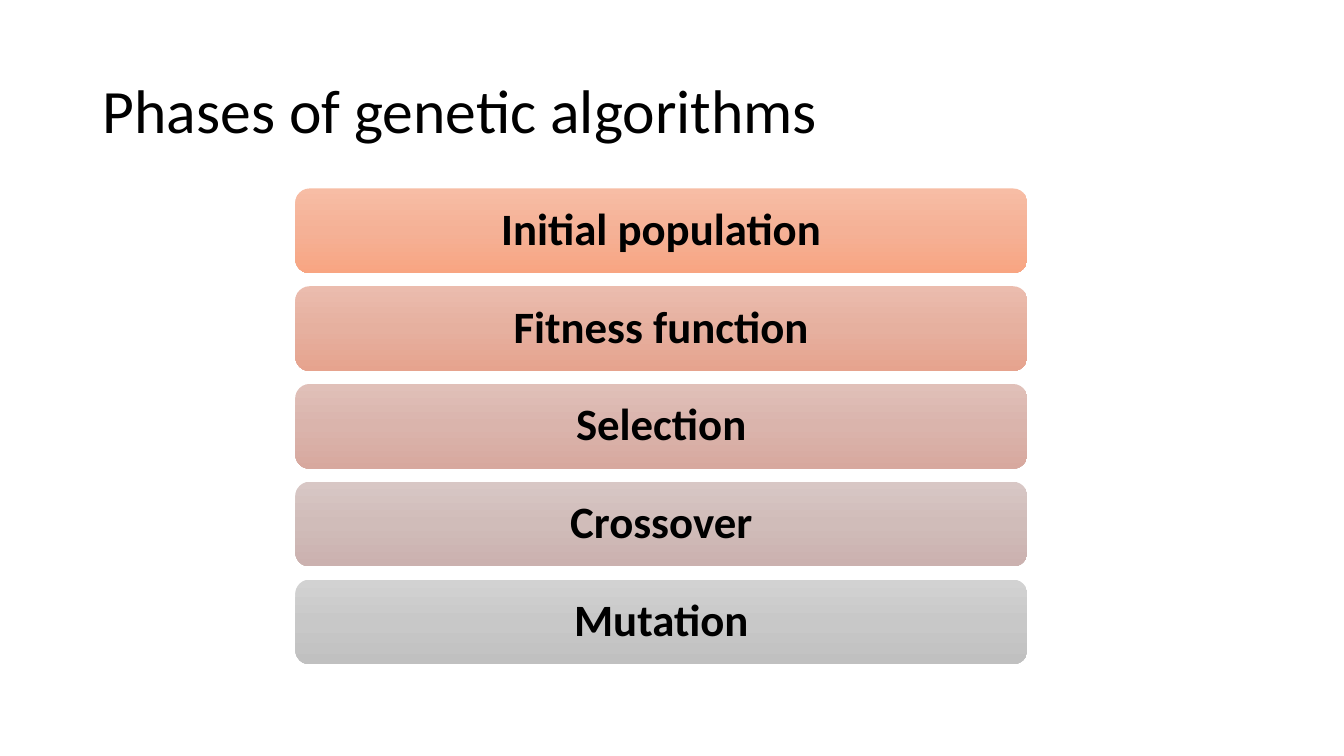
from dataclasses import dataclass

from pptx import Presentation
from pptx.dml.color import RGBColor
from pptx.enum.shapes import MSO_SHAPE
from pptx.enum.text import MSO_ANCHOR, MSO_AUTO_SIZE, PP_ALIGN
from pptx.oxml import parse_xml
from pptx.oxml.ns import nsdecls, qn
from pptx.shapes.autoshape import Shape
from pptx.slide import Slide
from pptx.util import Inches, Pt

BAR_LEFT, BAR_TOP = 2.93, 1.87
BAR_WIDTH, BAR_HEIGHT = 7.26, 0.84
BAR_PITCH = 0.97


@dataclass(frozen=True)
class Phase:
    name: str
    gradient: tuple[str, str, str]


PHASES = [
    Phase("Initial population", ("F7BDA5", "F5B196", "F8A582")),
    Phase("Fitness function", ("EBBCAE", "E6B09F", "E6A38E")),
    Phase("Selection", ("E0C0B9", "DAB4AC", "D7A89E")),
    Phase("Crossover", ("D8C7C5", "D0BCB9", "CBB1AF")),
    Phase("Mutation", ("D2D2D2", "C8C8C8", "C0C0C0")),
]


def write_text(sp: Shape, text: str, size: int, align: PP_ALIGN,
               bold: bool = False, color: str = "000000") -> None:
    tf = sp.text_frame
    tf.text = text
    tf.word_wrap = True
    tf.auto_size = MSO_AUTO_SIZE.NONE
    tf.vertical_anchor = MSO_ANCHOR.MIDDLE
    p = tf.paragraphs[0]
    p.alignment = align
    p.line_spacing = 0.9
    font = p.runs[0].font
    font.name = "Calibri"
    font.size = Pt(size)
    font.bold = bold
    font.color.rgb = RGBColor.from_string(color)


def fill_gradient(sp: Shape, colors: tuple[str, ...]) -> None:
    """Fill from top to bottom with evenly spaced colours."""
    step = 100000 // (len(colors) - 1)
    stops = "".join(
        f'<a:gs pos="{i * step}"><a:srgbClr val="{color}"/></a:gs>'
        for i, color in enumerate(colors)
    )
    gradient = parse_xml(
        f'<a:gradFill {nsdecls("a")} rotWithShape="1"><a:gsLst>{stops}</a:gsLst>'
        '<a:lin ang="5400000" scaled="0"/></a:gradFill>'
    )
    sp.element.spPr.find(qn("a:prstGeom")).addnext(gradient)


def add_phase(s: Slide, phase: Phase, top: float) -> None:
    sp = s.shapes.add_shape(
        MSO_SHAPE.ROUNDED_RECTANGLE,
        Inches(BAR_LEFT), Inches(top), Inches(BAR_WIDTH), Inches(BAR_HEIGHT),
    )
    sp.shadow.inherit = False
    sp.line.fill.background()
    fill_gradient(sp, phase.gradient)
    write_text(sp, phase.name, 32, PP_ALIGN.CENTER, bold=True)


def main() -> None:
    prs = Presentation()
    prs.slide_width, prs.slide_height = Inches(13.33), Inches(7.5)
    s = prs.slides.add_slide(prs.slide_layouts.get_by_name("Title Only"))

    title = s.shapes.title
    title.left, title.top = Inches(0.92), Inches(0.4)
    title.width, title.height = Inches(11.5), Inches(1.45)
    write_text(title, "Phases of genetic algorithms", 44, PP_ALIGN.LEFT)

    for i, phase in enumerate(PHASES):
        add_phase(s, phase, BAR_TOP + i * BAR_PITCH)

    prs.save("out.pptx")


if __name__ == "__main__":
    main()
